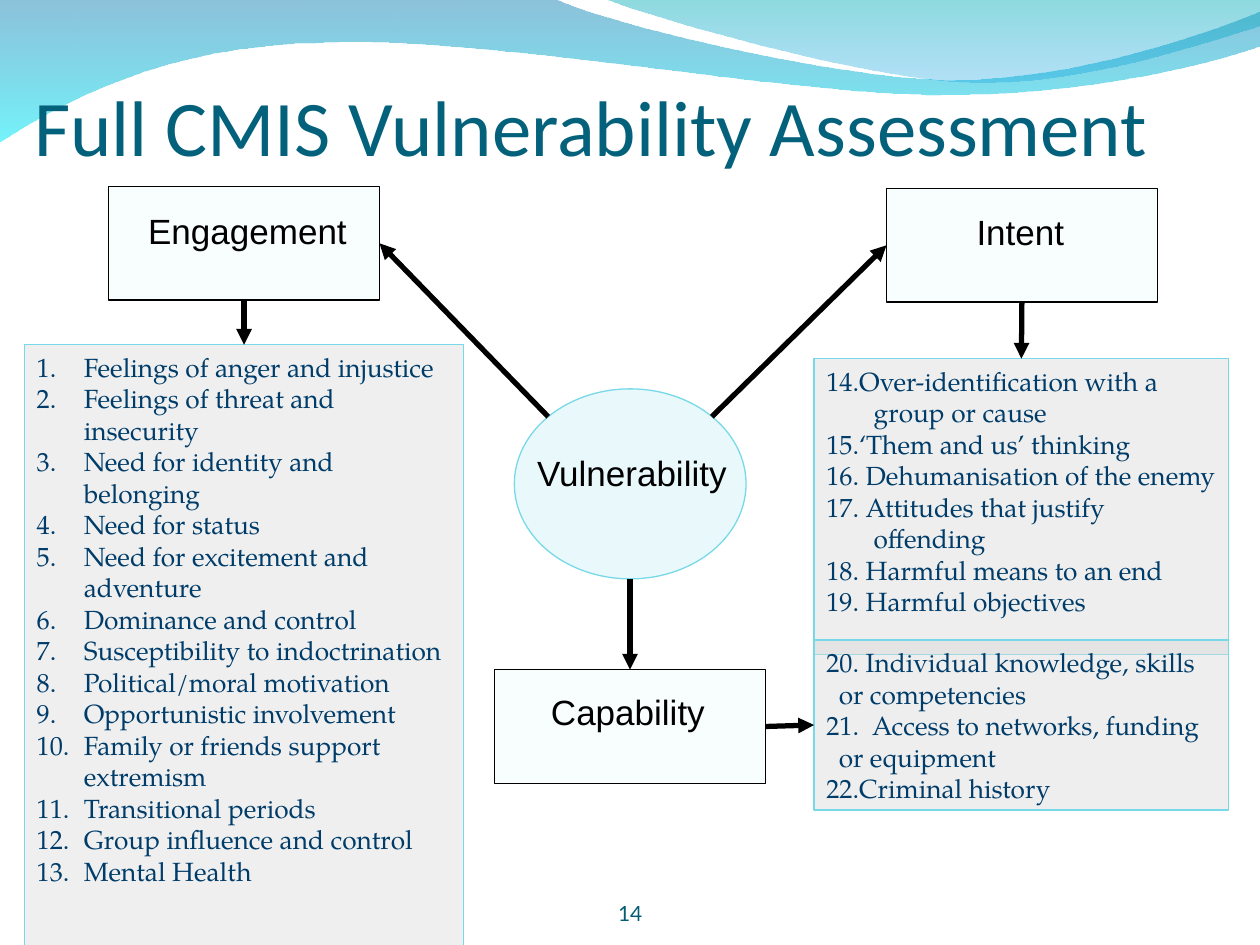
from lxml import etree
from pptx import Presentation
from pptx import util as u
from pptx.dml.color import RGBColor
from pptx.enum import shapes, text
from pptx.oxml.ns import qn

COLOURS = {
    "title": "04617B", "number": "045C75", "body": "003C69", "ink": "000000",
    "box": "F8FDFE", "circle": "E9F9FB", "edge": "77D9E8", "list": "D9D9D9",
    "wave blue": "0079AF", "wave cyan": "00EBF8",
    "wave teal": "00ADB6", "wave sky": "009BE5",
}
LABEL_FONT, LIST_FONT = "Arial", "TeX Gyre Pagella"
BOX_SIZE = (5.46, 2.29)

# Wave outlines: one point is a line, three points are a Bézier curve
LONG_WAVE = [
    [(0, -0.03)], [(11.18, -0.03)],
    [(12.09, 0.43), (16.87, 1.6), (19.25, 1.6)],
    [(21.67, 1.6), (24.33, 0.66), (25.4, 0.23)], [(25.43, 0.91)],
    [(24.97, 1.12), (22.1, 1.93), (18.95, 1.91)],
    [(15.8, 1.91), (9.7, 0.71), (6.53, 0.86)],
    [(3.28, 0.89), (1.17, 2.11), (-0.03, 2.87)],
]
SHORT_WAVE = [
    [(12.17, -0.03)],
    [(12.93, 0.28), (17.32, 1.57), (19.53, 1.65)],
    [(21.74, 1.75), (24.41, 0.81), (25.4, 0.53)], [(25.4, 0)],
]

ENGAGEMENT = [
    "Feelings of anger and injustice", "Feelings of threat and insecurity",
    "Need for identity and belonging", "Need for status",
    "Need for excitement and adventure", "Dominance and control",
    "Susceptibility to indoctrination", "Political/moral motivation",
    "Opportunistic involvement", "Family or friends support extremism",
    "Transitional periods", "Group influence and control", "Mental Health",
]
INTENT = [
    "14.Over-identification with a group or cause",
    "15.‘Them and us’ thinking", "16. Dehumanisation of the enemy",
    "17. Attitudes that justify offending", "18. Harmful means to an end",
    "19. Harmful objectives",
]
CAPABILITY = [
    "20. Individual knowledge, skills or competencies",
    "21.  Access to networks, funding or equipment", "22.Criminal history",
]


def rgb(name):
    return RGBColor.from_string(COLOURS[name])


def set_alpha(shape, *percents):
    colours = list(shape.fill._xPr.iter(qn("a:srgbClr")))
    for colour, percent in zip(colours, percents):
        etree.SubElement(colour, qn("a:alpha"), val=str(percent * 1000))


def bend(shape, segments):
    """Join the lines of each three-point segment into one Bézier curve."""
    lines = iter(list(shape._element.iter(qn("a:lnTo"))))
    for segment in segments[1:]:
        first, *others = [next(lines) for _ in segment]
        if others:
            first.tag = qn("a:cubicBezTo")
            for line in others:
                first.append(line[0])
                line.getparent().remove(line)


def write(shape, lines, *, font, size, colour, align=text.PP_ALIGN.LEFT,
          anchor=text.MSO_ANCHOR.TOP, margins=(0.25, 0.13, 0.25, 0.13),
          hanging=0, numbered=False):
    frame = shape.text_frame
    frame.word_wrap = True
    frame.auto_size = text.MSO_AUTO_SIZE.NONE
    frame.vertical_anchor = anchor
    (frame.margin_left, frame.margin_top,
     frame.margin_right, frame.margin_bottom) = map(u.Cm, margins)
    frame.text = "\n".join(lines)
    for paragraph in frame.paragraphs:
        paragraph.alignment = align
        run_font = paragraph.runs[0].font
        run_font.name, run_font.size = font, u.Pt(size)
        run_font.color.rgb = rgb(colour)
        properties = paragraph._p.get_or_add_pPr()
        if hanging:
            properties.set("marL", str(u.Cm(hanging)))
            properties.set("indent", str(-u.Cm(hanging)))
        if numbered:
            etree.SubElement(properties, qn("a:buAutoNum"), type="arabicPeriod")


class Canvas:
    def __init__(self, slide):
        self.slide = slide
        self.shapes = slide.shapes

    def wave(self, segments, colours, alphas):
        start, *others = [(u.Cm(x), u.Cm(y)) for segment in segments for x, y in segment]
        builder = self.shapes.build_freeform(*start, scale=1.0)
        builder.add_line_segments(others, close=True)
        shape = builder.convert_to_shape()
        bend(shape, segments)
        shape.shadow.inherit = False
        shape.line.fill.background()
        shape.fill.gradient()
        shape.fill.gradient_angle = 270
        for stop, colour, position in zip(shape.fill.gradient_stops, colours, (0, 1)):
            stop.color.rgb, stop.position = rgb(colour), position
        set_alpha(shape, *alphas)

    def title(self, words, bounds):
        title = self.shapes.title
        self.shapes._spTree.append(title._element)  # in front of the waves
        title.left, title.top, title.width, title.height = map(u.Cm, bounds)
        write(title, [words], font="Calibri", size=45, colour="title",
              anchor=text.MSO_ANCHOR.BOTTOM, margins=(0, 0.13, 0, 0))

    def shape(self, bounds, fill, edge, kind=shapes.MSO_SHAPE.RECTANGLE):
        shape = self.shapes.add_shape(kind, *map(u.Cm, bounds))
        shape.shadow.inherit = False
        shape.fill.solid()
        shape.fill.fore_color.rgb = rgb(fill)
        shape.line.color.rgb = rgb(edge)
        shape.line.width = u.Pt(0.75)
        return shape

    def label(self, words, bounds, **style):
        box = self.shapes.add_textbox(*map(u.Cm, bounds))
        style = {"font": LABEL_FONT, "size": 20, "colour": "ink", **style}
        write(box, [words], align=text.PP_ALIGN.CENTER, **style)
        return box

    def box(self, left, top):
        return self.shape((left, top, *BOX_SIZE), "box", "ink")

    def factors(self, lines, bounds, alpha, **style):
        panel = self.shape(bounds, "list", "edge")
        set_alpha(panel, alpha)
        write(panel, lines, font=LIST_FONT, size=15, colour="body", **style)
        return panel

    def arrow(self, target, target_side, source=None, source_side=0, start=(0, 0)):
        x, y = map(u.Cm, start)
        arrow = self.shapes.add_connector(shapes.MSO_CONNECTOR.STRAIGHT, x, y, x, y)
        if source is not None:
            arrow.begin_connect(source, source_side)
        arrow.end_connect(target, target_side)
        arrow.line.color.rgb = rgb("ink")
        arrow.line.width = u.Pt(3)
        etree.SubElement(arrow.line._get_or_add_ln(), qn("a:tailEnd"), type="triangle")
        etree.SubElement(arrow._element.spPr, qn("a:effectLst"))


def main():
    presentation = Presentation()
    presentation.slide_width, presentation.slide_height = u.Cm(25.4), u.Cm(19.05)
    canvas = Canvas(presentation.slides.add_slide(presentation.slide_layouts[5]))

    # Background waves, title and slide number
    canvas.wave(LONG_WAVE, ("wave blue", "wave cyan"), (45, 55))
    canvas.wave(SHORT_WAVE, ("wave teal", "wave sky"), (45, 30))
    canvas.title("Full CMIS Vulnerability Assessment", (0.69, 0.76, 24.16, 2.72))
    canvas.label("14", (8.68, 17.65, 8.05, 1.02), font="Lato", size=12, colour="number",
                 anchor=text.MSO_ANCHOR.BOTTOM, margins=(0, 0, 0, 0))

    # Three domains around the central circle
    engagement = canvas.box(2.19, 3.76)
    intent = canvas.box(17.87, 3.8)
    capability = canvas.box(9.97, 13.5)
    circle = canvas.shape((10.37, 7.84, 4.67, 3.83), "circle", "edge",
                          shapes.MSO_SHAPE.OVAL)
    circle_label = canvas.label("Vulnerability", (10.44, 8.97, 4.6, 1.12))
    canvas.shapes.add_group_shape([circle, circle_label])
    canvas.label("Capability", (10.36, 13.8, 4.6, 1.12))
    canvas.label("Engagement", (2.54, 4.09, 4.9, 1.12))
    canvas.label("Intent", (18.27, 4.11, 4.6, 1.12))

    # Factor lists
    intent_list = canvas.factors(INTENT, (16.41, 7.23, 8.36, 5.97), 43, hanging=0.95)
    capability_list = canvas.factors(CAPABILITY, (16.41, 12.9, 8.36, 3.43), 44,
                                     hanging=0.25)
    engagement_list = canvas.factors(ENGAGEMENT, (0.49, 6.95, 8.86, 12.32), 42,
                                     hanging=0.95, numbered=True)

    # Arrows from the circle to the domains, then to their lists
    canvas.arrow(engagement, 3, start=(11.05, 8.4))
    canvas.arrow(intent, 1, start=(14.35, 8.4))
    canvas.arrow(capability, 0, start=(12.7, 11.67))
    canvas.arrow(engagement_list, 0, engagement, 2)
    canvas.arrow(intent_list, 0, intent, 2)
    canvas.arrow(capability_list, 1, capability, 3)

    presentation.save("out.pptx")


if __name__ == "__main__":
    main()
